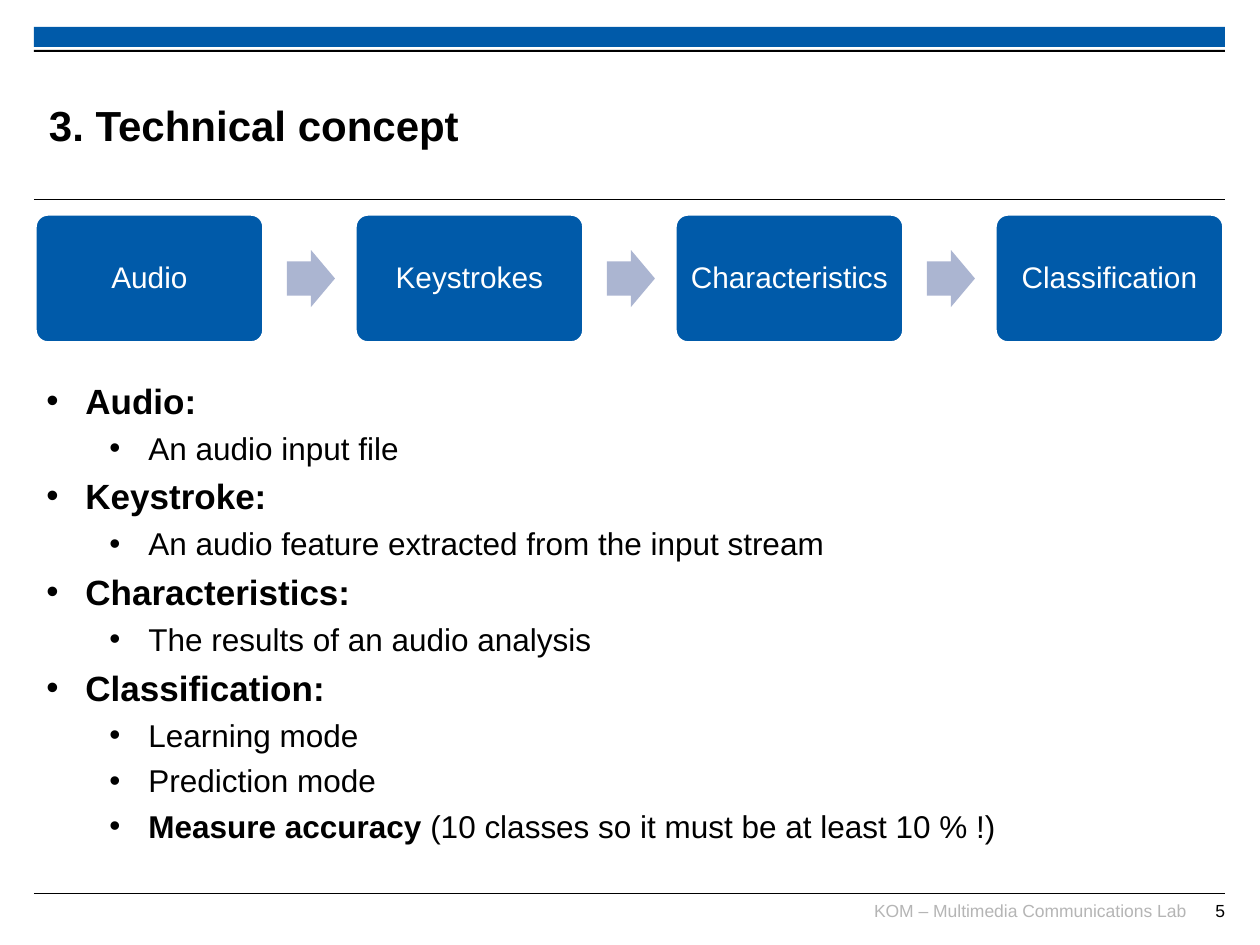
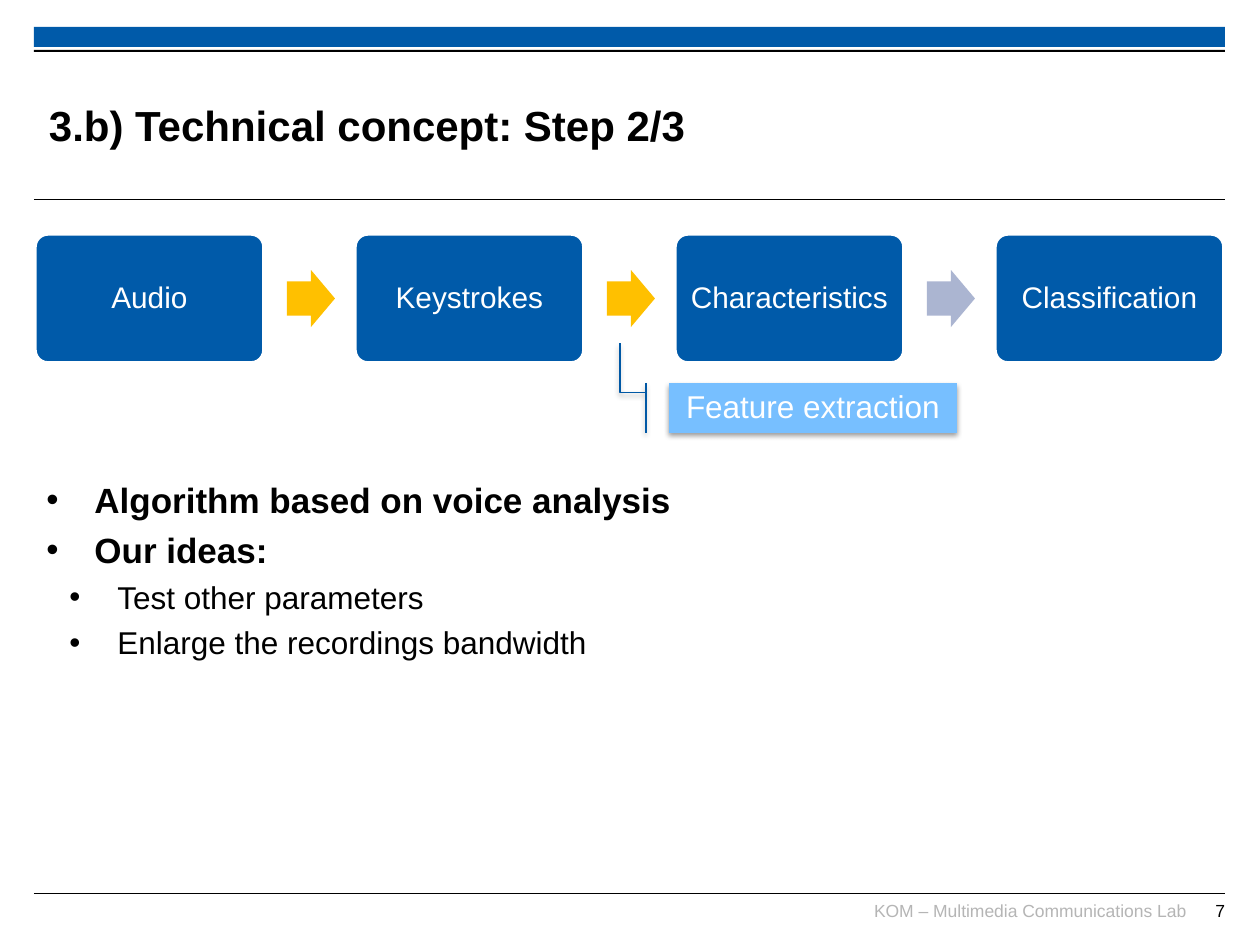
from typing import NamedTuple

from lxml import etree
from pptx import Presentation, util as u
from pptx.dml.color import RGBColor
from pptx.enum import shapes, text
from pptx.oxml import ns

# Scale and shared style
PX_PER_INCH = 126
FONT = "Arial"
BLUE, LIGHT_BLUE, CALLOUT_BLUE = "005AA9", "77BFFF", "0058A5"
BLACK, WHITE, GREY = "000000", "FFFFFF", "B5B5B5"
PENDING, DONE = "ABB5D1", "FFC000"
LEFT, CONTENT_WIDTH = 34, 1191
STEPS = ("Audio", "Keystrokes", "Characteristics", "Classification")


class Box(NamedTuple):
    left: int
    top: int
    width: int
    height: int


class Run(NamedTuple):
    words: str
    size: int
    color: str = BLACK
    bold: bool = False


class Bullet(NamedTuple):
    level: int
    runs: tuple[Run, ...]


class Callout(NamedTuple):
    words: str
    box: Box
    adjustments: tuple[float, ...]


class Page(NamedTuple):
    number: int
    title: str
    pipeline_top: int
    arrow_colors: tuple[str, ...]
    body: Box
    indents: tuple[int, int]
    hanging: int
    bullets: tuple[Bullet, ...]
    callout: Callout | None = None


def px(length: int) -> u.Emu:
    return u.Emu(round(length * 914400 / PX_PER_INCH))


def rgb(color: str) -> RGBColor:
    return RGBColor.from_string(color)


def heading(words: str) -> Bullet:
    return Bullet(0, (Run(words, 20, bold=True),))


def detail(words: str) -> Bullet:
    return Bullet(1, (Run(words, 18),))


# Drawing helpers
def add_run(paragraph, part: Run) -> None:
    run = paragraph.add_run()
    run.text = part.words
    run.font.name = FONT
    run.font.size = u.Pt(part.size)
    run.font.bold = part.bold
    run.font.color.rgb = rgb(part.color)


def set_insets(frame, sides: int, ends: int) -> None:
    frame.margin_left = frame.margin_right = px(sides)
    frame.margin_top = frame.margin_bottom = px(ends)


def add_shape(slide, kind, box: Box, fill: str):
    shape = slide.shapes.add_shape(kind, *map(px, box))
    shape.shadow.inherit = False
    shape.fill.solid()
    shape.fill.fore_color.rgb = rgb(fill)
    shape.line.fill.background()
    return shape


def add_rule(slide, y: int) -> None:
    rule = slide.shapes.add_connector(
        shapes.MSO_CONNECTOR.STRAIGHT,
        px(LEFT), px(y), px(LEFT + CONTENT_WIDTH), px(y))
    rule.line.color.rgb = rgb(BLACK)
    rule.line.width = u.Pt(0.6)
    etree.SubElement(rule._element.spPr, ns.qn("a:effectLst"))


def add_label(slide, box: Box, part: Run, align=text.PP_ALIGN.LEFT,
              anchor=text.MSO_ANCHOR.TOP) -> None:
    frame = slide.shapes.add_textbox(*map(px, box)).text_frame
    frame.word_wrap = True
    frame.vertical_anchor = anchor
    set_insets(frame, 0, 0)
    frame.paragraphs[0].alignment = align
    add_run(frame.paragraphs[0], part)


def center_text(shape, part: Run, spacing: float) -> None:
    frame = shape.text_frame
    frame.vertical_anchor = text.MSO_ANCHOR.MIDDLE
    paragraph = frame.paragraphs[0]
    paragraph.alignment = text.PP_ALIGN.CENTER
    paragraph.line_spacing = spacing
    add_run(paragraph, part)


# Parts of a slide
def draw_frame(slide, title: str, number: int) -> None:
    rectangle = shapes.MSO_SHAPE.RECTANGLE
    add_shape(slide, rectangle, Box(LEFT, 27, CONTENT_WIDTH, 20), BLUE)
    add_shape(slide, rectangle, Box(LEFT, 50, CONTENT_WIDTH, 2), BLACK)
    for y in (200, 894):
        add_rule(slide, y)
    add_label(slide, Box(49, 67, 948, 116), Run(title, 24, bold=True),
              anchor=text.MSO_ANCHOR.MIDDLE)
    right = text.PP_ALIGN.RIGHT
    add_label(slide, Box(858, 900, 328, 31),
              Run("KOM – Multimedia Communications Lab", 10, GREY), right)
    add_label(slide, Box(1195, 900, 30, 31), Run(str(number), 10), right)


def draw_pipeline(slide, top: int, arrow_colors: tuple[str, ...]) -> None:
    left, pitch, width, height = 35, 320, 229, 129
    for index, step in enumerate(STEPS):
        stage = add_shape(slide, shapes.MSO_SHAPE.ROUNDED_RECTANGLE,
                          Box(left + index * pitch, top, width, height), BLUE)
        stage.adjustments[0] = 0.1
        stage.line.color.rgb = rgb(WHITE)
        stage.line.width = u.Pt(2)
        stage.text_frame.word_wrap = True
        set_insets(stage.text_frame, 12, 12)
        center_text(stage, Run(step, 17, WHITE), 0.9)
    for index, color in enumerate(arrow_colors):
        arrow = add_shape(slide, shapes.MSO_SHAPE.RIGHT_ARROW,
                          Box(287 + index * pitch, top + 36, 48, 57), color)
        arrow.adjustments[0], arrow.adjustments[1] = 0.6, 0.5


def draw_bullets(slide, page: Page) -> None:
    frame = slide.shapes.add_textbox(*map(px, page.body)).text_frame
    frame.word_wrap = True
    for index, bullet in enumerate(page.bullets):
        paragraph = frame.add_paragraph() if index else frame.paragraphs[0]
        paragraph.level = bullet.level
        # Space above follows the text size; the first line has none
        paragraph.space_before = u.Pt(0.24 * bullet.runs[0].size if index else 0)
        properties = paragraph._p.get_or_add_pPr()
        properties.set("marL", str(px(page.indents[bullet.level])))
        properties.set("indent", str(px(-page.hanging)))
        etree.SubElement(properties, ns.qn("a:buFont"), typeface=FONT)
        etree.SubElement(properties, ns.qn("a:buChar"), char="•")
        for part in bullet.runs:
            add_run(paragraph, part)


def draw_callout(slide, callout: Callout) -> None:
    shape = add_shape(slide, shapes.MSO_SHAPE.LINE_CALLOUT_2_ACCENT_BAR,
                      callout.box, LIGHT_BLUE)
    for index, value in enumerate(callout.adjustments):
        shape.adjustments[index] = value
    shape.line.color.rgb = rgb(CALLOUT_BLUE)
    shape.line.width = u.Pt(0.75)
    shape.text_frame.word_wrap = False
    center_text(shape, Run(callout.words, 18, WHITE), 0.93)
    # Soft shadow straight below
    effects = shape._element.spPr.find(ns.qn("a:effectLst"))
    shadow = etree.SubElement(
        effects, ns.qn("a:outerShdw"), blurRad=str(u.Pt(3.1)),
        dist=str(u.Pt(1.6)), dir="5400000", rotWithShape="0")
    color = etree.SubElement(shadow, ns.qn("a:srgbClr"), val=BLACK)
    etree.SubElement(color, ns.qn("a:alpha"), val="38000")


# Content
PAGES = (
    Page(
        number=5,
        title="3. Technical concept",
        pipeline_top=214,
        arrow_colors=(PENDING, PENDING, PENDING),
        body=Box(LEFT, 373, CONTENT_WIDTH, 515),
        indents=(39, 102),
        hanging=39,
        bullets=(
            heading("Audio:"),
            detail("An audio input file"),
            heading("Keystroke:"),
            detail("An audio feature extracted from the input stream"),
            heading("Characteristics:"),
            detail("The results of an audio analysis"),
            heading("Classification:"),
            detail("Learning mode"),
            detail("Prediction mode"),
            Bullet(1, (
                Run("Measure accuracy ", 18, bold=True),
                Run("(10 classes so it must be at least 10 % !)", 18))),
        ),
    ),
    Page(
        number=7,
        title="3.b) Technical concept: Step 2/3",
        pipeline_top=234,
        arrow_colors=(DONE, DONE, PENDING),
        body=Box(LEFT, 472, CONTENT_WIDTH, 417),
        indents=(48, 71),
        hanging=48,
        bullets=(
            heading("Algorithm based on voice analysis"),
            heading("Our ideas:"),
            detail("Test other parameters"),
            detail("Enlarge the recordings bandwidth"),
        ),
        callout=Callout("Feature extraction", Box(669, 383, 288, 50),
                        (0.19, -0.08, 0.19, -0.17, -0.79, -0.17)),
    ),
)


def main() -> None:
    deck = Presentation()
    deck.slide_width, deck.slide_height = px(1260), px(945)
    blank = deck.slide_layouts[6]
    for page in PAGES:
        slide = deck.slides.add_slide(blank)
        draw_frame(slide, page.title, page.number)
        draw_bullets(slide, page)
        draw_pipeline(slide, page.pipeline_top, page.arrow_colors)
        if page.callout:
            draw_callout(slide, page.callout)
    deck.save("out.pptx")


if __name__ == "__main__":
    main()
